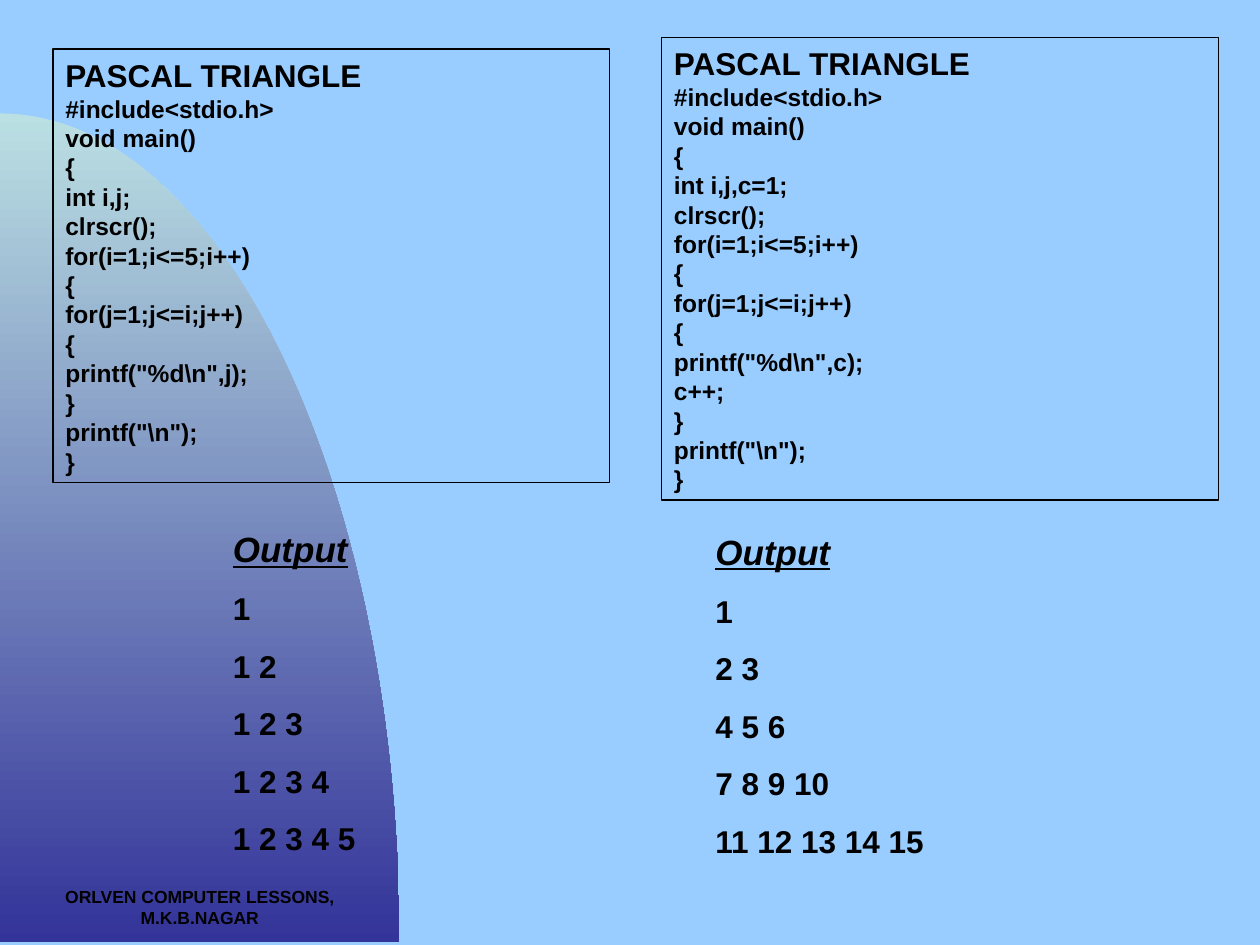
from pptx import Presentation
from pptx.dml.color import RGBColor
from pptx.enum.shapes import MSO_SHAPE
from pptx.enum.text import MSO_ANCHOR, MSO_AUTO_SIZE, PP_ALIGN
from pptx.util import Inches, Pt

COLORS = {"sky": "99CCFF", "mint": "BBE0E3", "indigo": "333399", "ink": "000000"}
LINE_FACTOR = 1.2
TITLE = "PASCAL TRIANGLE"

PROGRAMS = [
    {
        "code_at": (0.42, 0.39, 4.42, 3.44),
        "declaration": "int i,j;",
        "loop_body": ['printf("%d\\n",j);'],
        "output_at": (1.75, 4.14, 2.33, 2.72),
        "rows": ["1", "1 2", "1 2 3", "1 2 3 4", "1 2 3 4 5"],
    },
    {
        "code_at": (5.25, 0.3, 4.42, 3.67),
        "declaration": "int i,j,c=1;",
        "loop_body": ['printf("%d\\n",c);', "c++;"],
        "output_at": (5.58, 4.16, 3.67, 2.72),
        "rows": ["1", "2 3", "4 5 6", "7 8 9 10", "11 12 13 14 15"],
    },
]


def color(name):
    return RGBColor.from_string(COLORS[name])


def write_lines(box, lines, heading_size, body_size, gap=0):
    frame = box.text_frame
    frame.word_wrap = True
    frame.text = "\n".join(lines)
    for index, para in enumerate(frame.paragraphs):
        size = body_size if index else heading_size
        para.alignment = PP_ALIGN.LEFT
        para.line_spacing = Pt(size * LINE_FACTOR)
        para.space_before = Pt(gap if index else 0)
        for span in para.runs:
            span.font.name = "Arial"
            span.font.size = Pt(size)
            span.font.bold = True
            span.font.color.rgb = color("ink")


deck = Presentation()
deck.slide_width = Inches(10)
deck.slide_height = Inches(7.5)
page = deck.slides.add_slide(deck.slide_layouts[6])
page.background.fill.solid()
page.background.fill.fore_color.rgb = color("sky")

curve = [(0, 0.9), (1.75, 0.9), (3.17, 3.85), (3.17, 7.48)]
steps = 60
arc = []
for step in range(steps + 1):
    t = step / steps
    weights = [(1 - t) ** 3, 3 * t * (1 - t) ** 2, 3 * t**2 * (1 - t), t**3]
    arc.append(tuple(
        Inches(sum(weight * point[axis] for weight, point in zip(weights, curve)))
        for axis in (0, 1)
    ))
builder = page.shapes.build_freeform(*arc[0])
builder.add_line_segments(arc[1:] + [(0, Inches(7.48))], close=True)
dome = builder.convert_to_shape()
dome.shadow.inherit = False
dome.line.fill.background()
dome.fill.gradient()
dome.fill.gradient_angle = 270
for stop, name in zip(dome.fill.gradient_stops, ("mint", "indigo")):
    stop.color.rgb = color(name)

footer = page.shapes.add_textbox(Inches(0), Inches(6.98), Inches(3.17), Inches(0.52))
write_lines(footer, ["ORLVEN COMPUTER LESSONS, M.K.B.NAGAR"], 10, 10)
footer.text_frame.paragraphs[0].alignment = PP_ALIGN.CENTER

for program in PROGRAMS:
    code_box = page.shapes.add_shape(MSO_SHAPE.RECTANGLE, *map(Inches, program["code_at"]))
    code_box.shadow.inherit = False
    code_box.fill.background()
    code_box.line.color.rgb = color("ink")
    code_box.line.width = Pt(0.75)
    code_box.text_frame.vertical_anchor = MSO_ANCHOR.MIDDLE
    code_box.text_frame.auto_size = MSO_AUTO_SIZE.SHAPE_TO_FIT_TEXT
    code = [
        TITLE, "#include<stdio.h>", "void main()", "{", program["declaration"],
        "clrscr();", "for(i=1;i<=5;i++)", "{", "for(j=1;j<=i;j++)", "{",
        *program["loop_body"], "}", 'printf("\\n");', "}",
    ]
    write_lines(code_box, code, 18, 14)

    output_box = page.shapes.add_textbox(*map(Inches, program["output_at"]))
    output_box.text_frame.auto_size = MSO_AUTO_SIZE.SHAPE_TO_FIT_TEXT
    write_lines(output_box, ["Output", *program["rows"]], 20, 18, gap=11.2)
    heading = output_box.text_frame.paragraphs[0].runs[0]
    heading.font.italic = True
    heading.font.underline = True

deck.save("out.pptx")
